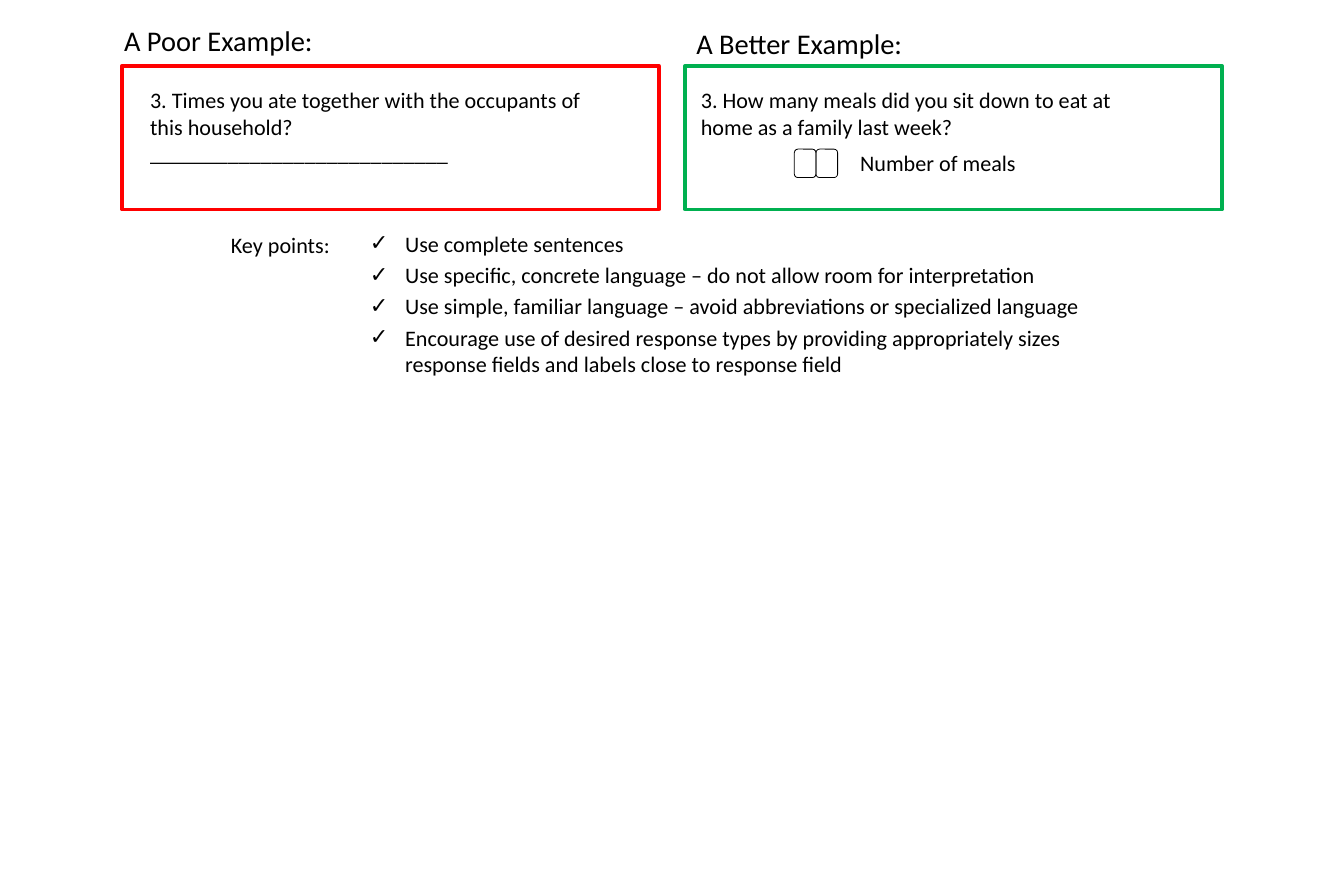
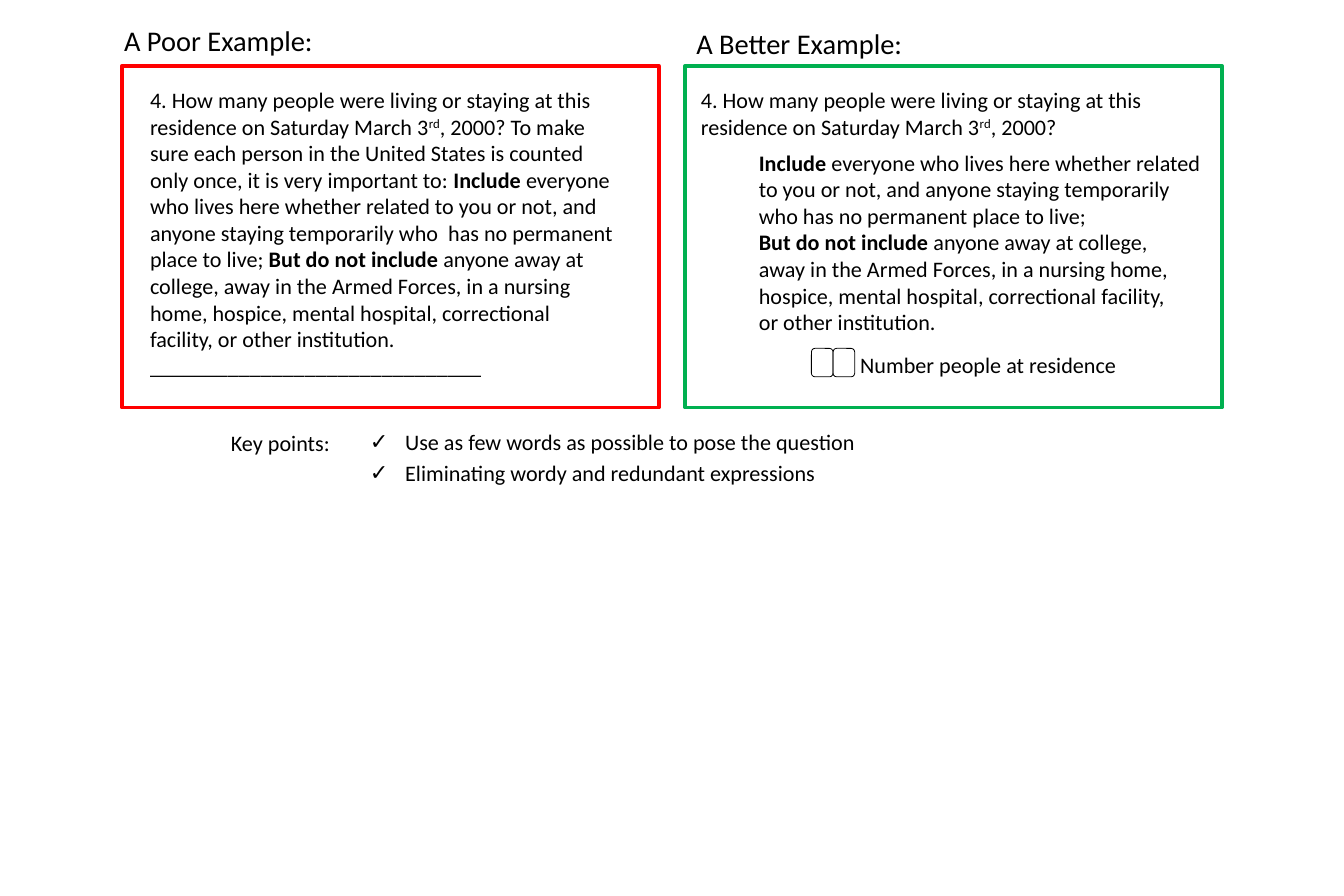
"""Build two slides that compare poor and better survey questions."""
from dataclasses import dataclass
from typing import NamedTuple

from lxml.etree import SubElement
from pptx import Presentation
from pptx.dml.color import RGBColor
from pptx.enum.shapes import MSO_SHAPE
from pptx.enum.text import MSO_ANCHOR, MSO_AUTO_SIZE, PP_ALIGN
from pptx.oxml.ns import qn
from pptx.util import Inches, Pt


@dataclass(frozen=True)
class Theme:
    font: str = "Calibri"
    ink: RGBColor = RGBColor(0, 0, 0)
    poor: RGBColor = RGBColor(0xFF, 0, 0)
    better: RGBColor = RGBColor(0, 0xB0, 0x50)
    heading_size: float = 18
    text_size: float = 14
    frame_line: float = 2.25
    field_line: float = 0.5


class Area(NamedTuple):
    left: float
    top: float
    width: float
    height: float

    def lengths(self):
        return [Inches(value) for value in self]


class Span(NamedTuple):
    text: str
    bold: bool = False
    raised: bool = False


class Para(NamedTuple):
    spans: list[Span]
    after: float = 0
    margin: float = 0
    bullet: str = ""


@dataclass(frozen=True)
class Comparison:
    frame_height: float
    poor: list[Para]
    better: list[Para]
    better_width: float
    field_left: float
    field_top: float
    key_points: list[str]


THEME = Theme()
FRAME_TOP = 0.58
FRAME_WIDTH = 4.72
POOR_LEFT, BETTER_LEFT = 1.07, 6.02
QUESTION_TOP = 0.71
KEY_GAP = 0.13
FIELD_WIDTH, FIELD_HEIGHT = 0.19, 0.25
BULLET_INDENT = 0.31
LABEL_MARGIN = 1.4
DETAIL_MARGIN = 0.51


def plain(text: str, after: float = 0, margin: float = 0, bullet: str = "") -> Para:
    """Return a paragraph with a single regular span."""
    return Para([Span(text)], after, margin, bullet)


def write(box, area: Area, paras: list[Para], size: float = THEME.text_size) -> None:
    """Place a text box or placeholder and fill it with formatted paragraphs."""
    box.left, box.top, box.width, box.height = area.lengths()
    frame = box.text_frame
    frame.word_wrap = True
    frame.auto_size = MSO_AUTO_SIZE.SHAPE_TO_FIT_TEXT
    frame.vertical_anchor = MSO_ANCHOR.TOP
    for number, para in enumerate(paras):
        paragraph = frame.add_paragraph() if number else frame.paragraphs[0]
        paragraph.alignment = PP_ALIGN.LEFT
        paragraph.space_before = Pt(0)
        paragraph.space_after = Pt(para.after)
        properties = paragraph._p.get_or_add_pPr()
        properties.set("marL", str(Inches(para.margin)))
        properties.set("indent", str(-Inches(para.margin) if para.bullet else 0))
        if para.bullet:
            SubElement(properties, qn("a:buChar")).set("char", para.bullet)
        for span in para.spans:
            run = paragraph.add_run()
            run.text = span.text
            run.font.name = THEME.font
            run.font.size = Pt(size)
            run.font.bold = span.bold
            run.font.color.rgb = THEME.ink
            if span.raised:
                run._r.get_or_add_rPr().set("baseline", "30000")


def add_text(page, area: Area, paras: list[Para], size: float = THEME.text_size) -> None:
    """Add a text box with formatted paragraphs."""
    write(page.shapes.add_textbox(*area.lengths()), area, paras, size)


def add_outline(shapes, kind: MSO_SHAPE, area: Area, color: RGBColor, weight: float) -> None:
    """Add an unfilled shape with a coloured line."""
    shape = shapes.add_shape(kind, *area.lengths())
    shape.shadow.inherit = False
    shape.fill.background()
    shape.line.color.rgb = color
    shape.line.width = Pt(weight)


def add_comparison(deck, comparison: Comparison) -> None:
    """Add one slide with two framed questions and their key points."""
    page = deck.slides.add_slide(deck.slide_layouts[1])
    for left, color in ((POOR_LEFT, THEME.poor), (BETTER_LEFT, THEME.better)):
        area = Area(left, FRAME_TOP, FRAME_WIDTH, comparison.frame_height)
        add_outline(page.shapes, MSO_SHAPE.RECTANGLE, area, color, THEME.frame_line)

    write(page.shapes.title, Area(0.99, 0.15, 4.31, 0.4),
          [plain("A Poor Example:")], THEME.heading_size)
    add_text(page, Area(BETTER_LEFT, 0.18, 4.31, 0.4),
             [plain("A Better Example:")], THEME.heading_size)

    text_height = comparison.frame_height - 0.3
    add_text(page, Area(1.22, QUESTION_TOP, 4.27, text_height), comparison.poor)
    add_text(page, Area(6.06, QUESTION_TOP, comparison.better_width, text_height),
             comparison.better)

    key_top = FRAME_TOP + comparison.frame_height + KEY_GAP
    add_text(page, Area(1.93, key_top + 0.01, 1.19, 0.34), [plain("Key points:", after=3)])
    write(page.placeholders[1], Area(3.15, key_top, 6.89, 0.61),
          [plain(point, 3, BULLET_INDENT, "✓") for point in comparison.key_points])

    answer = page.shapes.add_group_shape()
    for digit in range(2):
        area = Area(comparison.field_left + digit * FIELD_WIDTH, comparison.field_top,
                    FIELD_WIDTH, FIELD_HEIGHT)
        add_outline(answer.shapes, MSO_SHAPE.ROUNDED_RECTANGLE, area, THEME.ink,
                    THEME.field_line)


RESIDENCE = [
    Span("4. How many people were living or staying at this residence on Saturday March 3"),
    Span("rd", raised=True),
]
INCLUDE = Span("Include ", bold=True)
EXCLUDE = Span("But do not include ", bold=True)

COMPARISONS = [
    Comparison(
        frame_height=1.26,
        poor=[
            plain("3. Times you ate together with the occupants of this household?"),
            plain("_" * 27),
        ],
        better=[
            plain("3. How many meals did you sit down to eat at home as a family last week?", 6),
            plain("Number of meals", 6, LABEL_MARGIN),
        ],
        better_width=4.27,
        field_left=6.98,
        field_top=1.31,
        key_points=[
            "Use complete sentences",
            "Use specific, concrete language – do not allow room for interpretation",
            "Use simple, familiar language – avoid abbreviations or specialized language",
            "Encourage use of desired response types by providing appropriately sizes "
            "response fields and labels close to response field",
        ],
    ),
    Comparison(
        frame_height=3,
        poor=[
            Para([
                *RESIDENCE,
                Span(", 2000? To make sure each person in the United States is counted "
                     "only once, it is very important to: "),
                INCLUDE,
                Span("everyone who lives here whether related to you or not, and anyone "
                     "staying temporarily who  has no permanent place to live; "),
                EXCLUDE,
                Span("anyone away at college, away in the Armed Forces, in a nursing home, "
                     "hospice, mental hospital, correctional facility, or other institution."),
            ]),
            plain("_" * 30),
        ],
        better=[
            Para([*RESIDENCE, Span(", 2000?")], after=6),
            Para([INCLUDE, Span("everyone who lives here whether related to you or not, and "
                                "anyone staying temporarily who has no permanent place to "
                                "live;")], margin=DETAIL_MARGIN),
            Para([EXCLUDE, Span("anyone away at college,")], margin=DETAIL_MARGIN),
            plain("away in the Armed Forces, in a nursing home,", margin=DETAIL_MARGIN),
            plain("hospice, mental hospital, correctional facility,", margin=DETAIL_MARGIN),
            plain("or other institution.", 10, DETAIL_MARGIN),
            plain("Number people at residence", 6, LABEL_MARGIN),
        ],
        better_width=4.68,
        field_left=7.13,
        field_top=3.06,
        key_points=[
            "Use as few words as possible to pose the question",
            "Eliminating wordy and redundant expressions",
        ],
    ),
]


def main() -> None:
    """Build and save the deck."""
    deck = Presentation()
    deck.slide_width, deck.slide_height = Inches(11.81), Inches(7.87)
    for comparison in COMPARISONS:
        add_comparison(deck, comparison)
    deck.save("out.pptx")


main()
